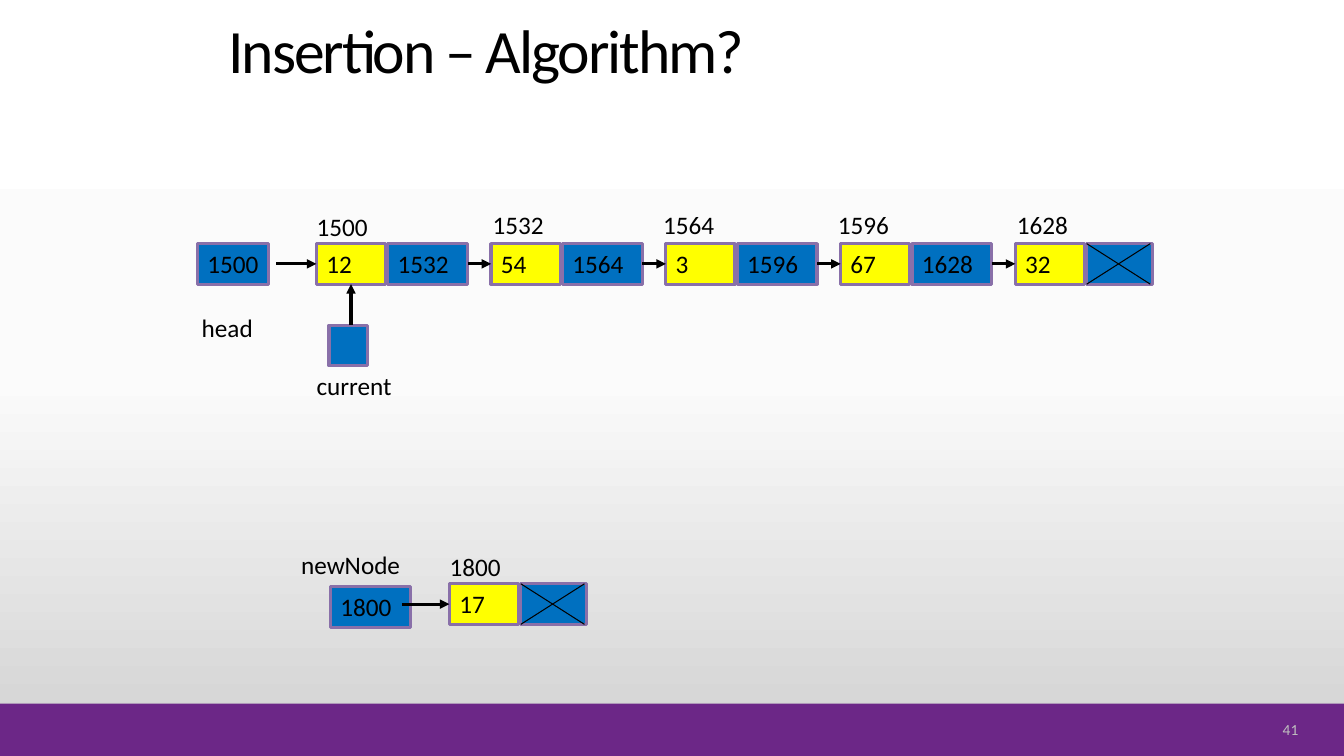
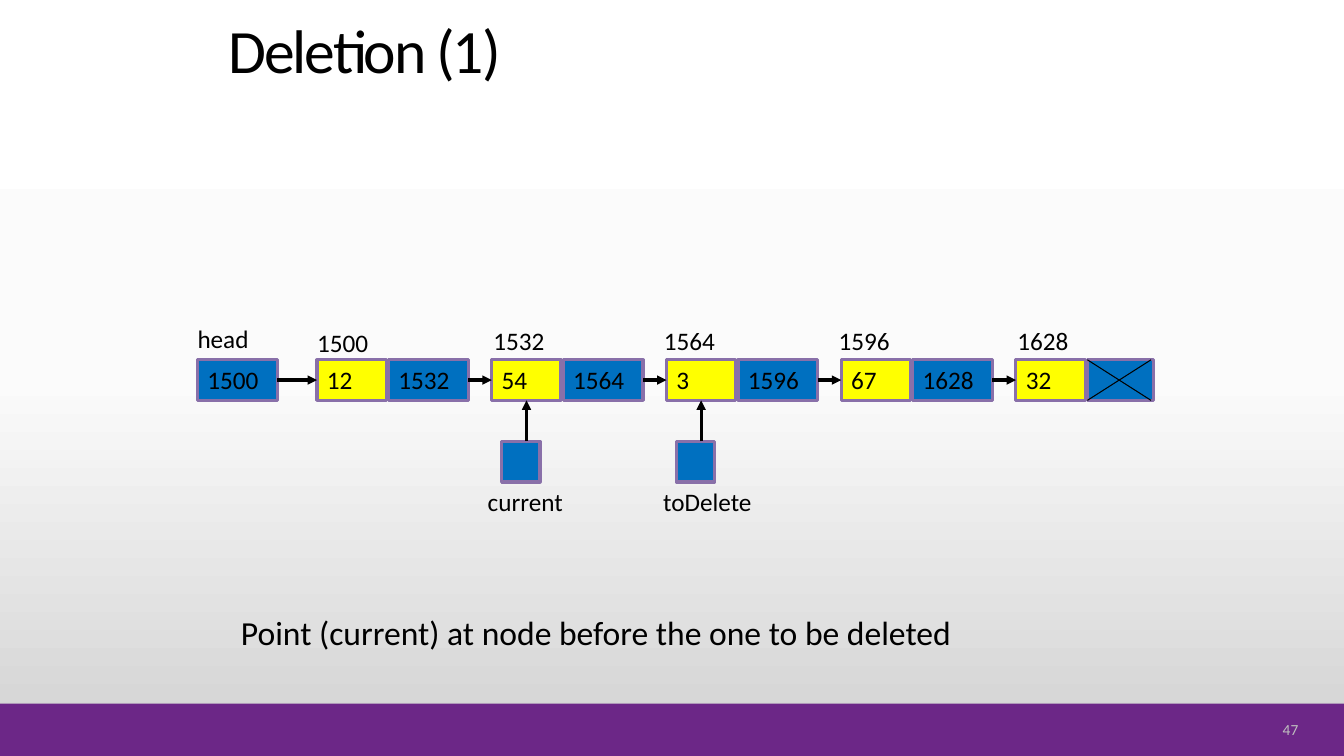
from copy import deepcopy

from pptx import Presentation
from pptx.dml.color import RGBColor
from pptx.enum.shapes import MSO_CONNECTOR as CONNECTOR, MSO_SHAPE as SHAPE
from pptx.enum.text import MSO_ANCHOR as ANCHOR, MSO_AUTO_SIZE as AUTO_SIZE, PP_ALIGN as ALIGN
from pptx.oxml.ns import qn
from pptx.oxml.xmlchemy import OxmlElement
from pptx.util import Pt

BLACK = RGBColor(0x00, 0x00, 0x00)
BLUE = RGBColor(0x00, 0x70, 0xC0)
YELLOW = RGBColor(0xFF, 0xFF, 0x00)
VIOLET = RGBColor(0x89, 0x70, 0xA9)
PURPLE = RGBColor(0x6C, 0x27, 0x87)
SILVER = RGBColor(0xBF, 0xBF, 0xBF)
BACKGROUND = [(0, RGBColor(0xFF, 0xFF, 0xFF)), (0.5, RGBColor(0xFB, 0xFB, 0xFB)),
              (1, RGBColor(0xD1, 0xD1, 0xD1))]
FONT = "Calibri"

# Node geometry, in points
CELL_H = 29
DATA_W, LINK_W, NULL_W = 49.5, 57, 47
LINK_SHIFT = 51
NODE_PITCH = 124.8
ADDRESS_SHIFTS = [(-7, -26.6), (-6, -28), (-9, -28), (-9, -28), (-6, -28)]


def add_box(slide, x, y, w, h, text="", fill=None, size=18, color=BLACK):
    """A filled cell, or a plain text box when there is no fill."""
    place = Pt(x), Pt(y), Pt(w), Pt(h)
    if fill is None:
        box = slide.shapes.add_textbox(*place)
    else:
        box = slide.shapes.add_shape(SHAPE.RECTANGLE, *place)
        box.shadow.inherit = False
        box.fill.solid()
        box.fill.fore_color.rgb = fill
        box.line.color.rgb = VIOLET
        box.line.width = Pt(2.25)
    if text:
        frame = box.text_frame
        frame.word_wrap = True
        frame.margin_right = 0
        frame.vertical_anchor = ANCHOR.TOP
        frame.paragraphs[0].alignment = ALIGN.LEFT
        run = frame.paragraphs[0].add_run()
        run.text = text
        run.font.name, run.font.size = FONT, Pt(size)
        run.font.color.rgb = color
    return box


def add_line(slide, x1, y1, x2, y2, width=2.25, arrow=True):
    line = slide.shapes.add_connector(CONNECTOR.STRAIGHT, Pt(x1), Pt(y1), Pt(x2), Pt(y2))
    line.line.color.rgb = BLACK
    line.line.width = Pt(width)
    if arrow:
        tip = OxmlElement("a:tailEnd")
        tip.set("type", "triangle")
        line.get_or_add_ln().append(tip)
    line.element.spPr.append(OxmlElement("a:effectLst"))
    return line


# Content: each chain has a head pointer, nodes of (address, value) and pointers
NODES = [("1500", "12"), ("1532", "54"), ("1564", "3"), ("1596", "67"), ("1628", "32")]
SLIDES = [
    {"title": "Insertion – Algorithm?", "number": "41", "chains": [
        {"left": 226, "top": 174, "nodes": NODES,
         "head": (141, 174, 51), "arrow_from": 197.5, "label": ("head", 137, 219.6),
         "pointers": [("current", 0, 9, -7)]},
        {"left": 321, "top": 417, "nodes": [("1800", "17")],
         "head": (236, 419, 57), "arrow_from": 287, "label": ("newNode", 208, 389),
         "pointers": []}]},
    {"title": "Deletion (1)", "number": "47",
     "caption": "Point (current) at node before the one to be deleted", "chains": [
         {"left": 226.5, "top": 257, "nodes": NODES,
          "head": (141, 257, 57), "arrow_from": None, "label": ("head", 134, 227.5),
          "pointers": [("current", 1, 7, -10), ("toDelete", 2, 7, -9.5)]}]},
]

deck = Presentation()
deck.slide_width, deck.slide_height = Pt(960), Pt(540)
layout = deck.slide_layouts[5]

# Shared gradient background
background = layout.background.fill
background.gradient()
background.gradient_angle = 270
stop_list = next(layout.element.iter(qn("a:gsLst")))
stop_list.append(deepcopy(stop_list[0]))
for stop, (position, color) in zip(background.gradient_stops, BACKGROUND):
    stop.position = position
    stop.color.rgb = color

for number, content in enumerate(SLIDES):
    slide = deck.slides.add_slide(layout)

    # Shared footer band, moved onto the layout
    if number == 0:
        band = add_box(slide, 0, 502.6, 960, 37.4, fill=PURPLE)
        band.line.fill.background()
        band.element.nvSpPr.cNvPr.set("id", "20")
        layout.element.cSld.spTree.insert(2, band.element)

    # Title
    title = slide.shapes.title
    title.left, title.top, title.width, title.height = Pt(156), Pt(9.4), Pt(594), Pt(56)
    title.text_frame.auto_size = AUTO_SIZE.NONE
    title.text_frame.vertical_anchor = ANCHOR.BOTTOM
    heading = title.text_frame.paragraphs[0]
    heading.alignment = ALIGN.LEFT
    heading.line_spacing = 0.9
    run = heading.add_run()
    run.text = content["title"]
    run.font.name, run.font.size = FONT, Pt(44)
    run.font.color.rgb = BLACK
    run.font._element.set("spc", "-150")

    for chain in content["chains"]:
        left, top, nodes = chain["left"], chain["top"], chain["nodes"]
        middle = top + CELL_H / 2

        # Head pointer
        head_x, head_y, head_w = chain["head"]
        previous = add_box(slide, head_x, head_y, head_w, CELL_H, nodes[0][0], BLUE)
        label, label_x, label_y = chain["label"]
        add_box(slide, label_x, label_y, 90, CELL_H, label)
        arrow_from = chain["arrow_from"]

        # Nodes, each reached by an arrow from the cell before it
        data_cells = []
        for i, (address, value) in enumerate(nodes):
            x = left + i * NODE_PITCH
            link_x = x + LINK_SHIFT
            shift_x, shift_y = ADDRESS_SHIFTS[i]
            add_box(slide, x + shift_x, top + shift_y, 60, CELL_H, address)
            data = add_box(slide, x, top, DATA_W, CELL_H, value, YELLOW)
            data_cells.append(data)
            if i + 1 < len(nodes):
                link = add_box(slide, link_x, top, LINK_W, CELL_H, nodes[i + 1][0], BLUE)
            else:
                link = add_box(slide, link_x, top, NULL_W, CELL_H, fill=BLUE)
                for y1, y2 in [(top, top + CELL_H), (top + CELL_H, top)]:
                    add_line(slide, link_x, y1, link_x + 45.5, y2, 0.75, arrow=False)
            arrow = add_line(slide, arrow_from or x, middle, x, middle)
            if arrow_from is None:
                arrow.begin_connect(previous, 3)
            arrow.end_connect(data, 1)
            previous, arrow_from = link, None

        # Pointers below the nodes
        for name, i, box_shift, name_shift in chain["pointers"]:
            x = left + i * NODE_PITCH
            center = x + DATA_W / 2
            add_box(slide, x + box_shift, top + 58.3, 27.5, CELL_H, fill=BLUE)
            arrow = add_line(slide, center, top + 58.3, center, top + CELL_H)
            arrow.end_connect(data_cells[i], 2)
            add_box(slide, x + name_shift, top + 87, 90, CELL_H, name)

    # Caption
    if "caption" in content:
        add_box(slide, 165, 433.5, 562, 36, content["caption"], size=24)

    # Slide number
    page = add_box(slide, 880.5, 512.6, 54, 16.6, content["number"], size=11, color=SILVER)
    page.text_frame.margin_right = Pt(7.2)
    page.text_frame.vertical_anchor = ANCHOR.MIDDLE
    page.text_frame.paragraphs[0].alignment = ALIGN.RIGHT

deck.save("out.pptx")
